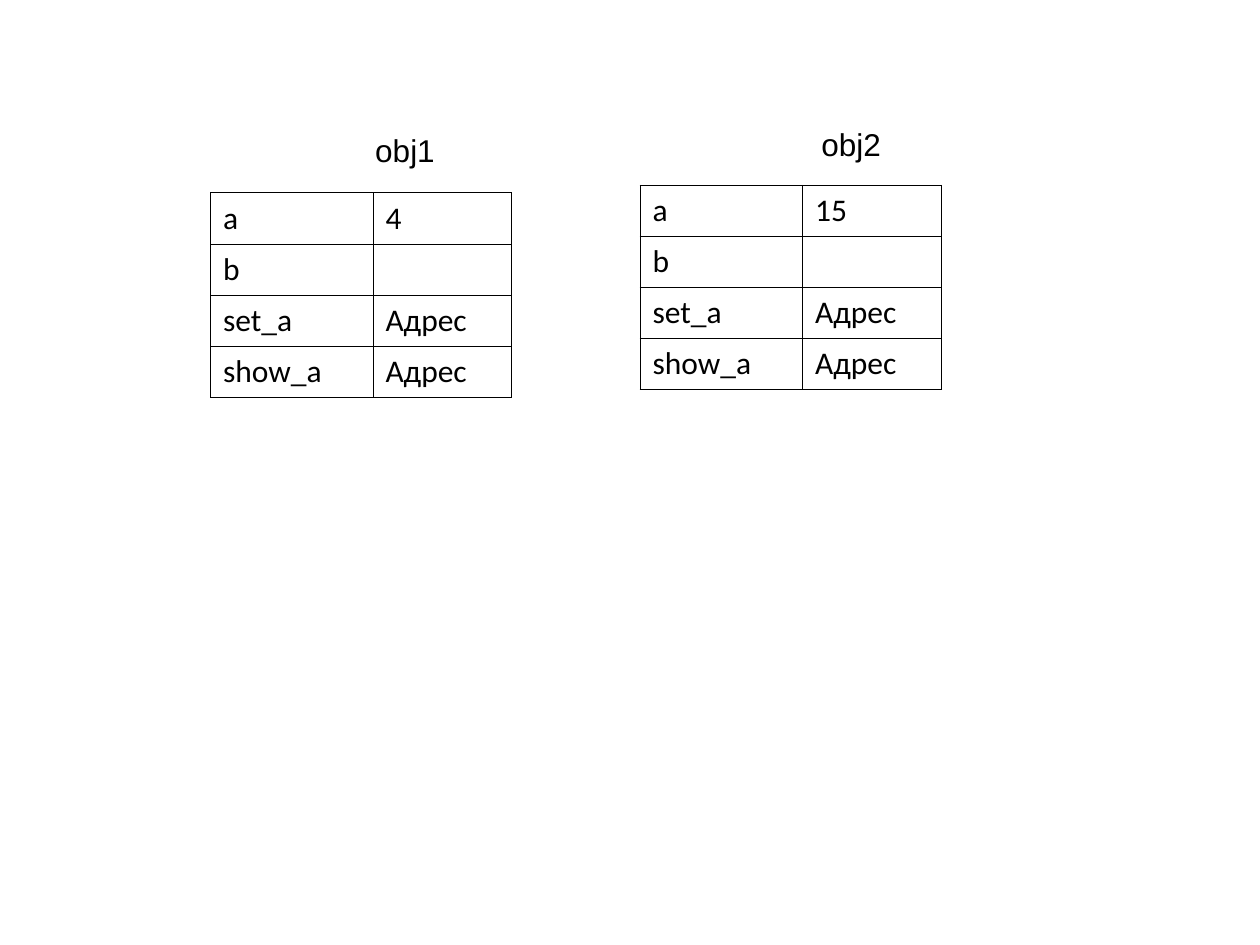
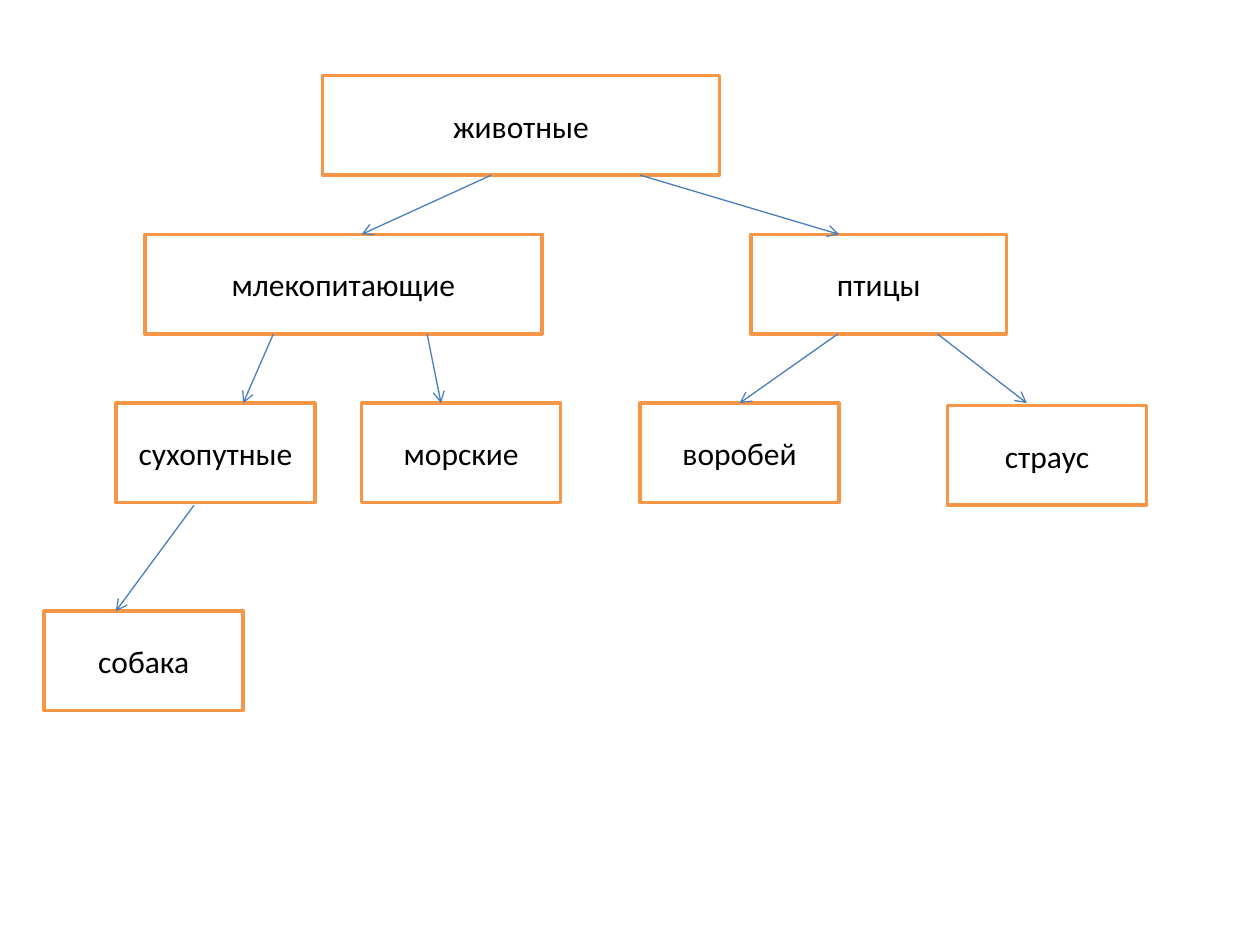
"""Builds two slides: object attribute tables and an animal class tree."""
from lxml import etree
from pptx import Presentation
from pptx import util as u
from pptx.dml.color import RGBColor
from pptx.enum import shapes, text
from pptx.oxml.ns import qn

COLORS = {"text": "000000", "box": "FFFFFF", "frame": "F79646", "arrow": "4A7EBB"}


def color(name):
    return RGBColor.from_string(COLORS[name])


def write(tf, words, face="Calibri"):
    p = tf.paragraphs[0]
    p.text = words
    p.font.size = u.Pt(18)
    p.font.name = face
    p.font.color.rgb = color("text")
    return p


prs = Presentation()
prs.slide_width, prs.slide_height = u.Inches(10), u.Inches(7.5)
blank = prs.slide_layouts[6]

s = prs.slides.add_slide(blank)
objects = [
    ("obj1", "4", (1.67, 1.53), (2.88, 0.99)),
    ("obj2", "15", (5.08, 1.47), (6.42, 0.94)),
]
for name, value, (x, y), (label_x, label_y) in objects:
    rows = [("a", value), ("b", ""), ("set_a", "Адрес"), ("show_a", "Адрес")]
    table = s.shapes.add_table(len(rows), 2, u.Inches(x), u.Inches(y),
                               u.Inches(2.39), u.Inches(1.62)).table
    table.first_row = table.horz_banding = False
    for column, width in zip(table.columns, (1.29, 1.1)):
        column.width = u.Inches(width)
    for i, row in enumerate(rows):
        for j, words in enumerate(row):
            cell = table.cell(i, j)
            write(cell.text_frame, words)
            cell.fill.background()
            tcPr = cell._tc.get_or_add_tcPr()
            for k, side in enumerate(("lnL", "lnR", "lnT", "lnB")):
                ln = etree.Element(qn(f"a:{side}"), w=str(u.Pt(0.45)))
                fill = etree.SubElement(ln, qn("a:solidFill"))
                etree.SubElement(fill, qn("a:srgbClr"), val=COLORS["text"])
                tcPr.insert(k, ln)

    tf = s.shapes.add_textbox(u.Inches(label_x), u.Inches(label_y),
                              u.Inches(0.67), u.Inches(0.4)).text_frame
    tf.word_wrap = False
    tf.auto_size = text.MSO_AUTO_SIZE.SHAPE_TO_FIT_TEXT
    write(tf, name, "Arial")

s = prs.slides.add_slide(blank)
animals = [
    ("животные", 2.56, 0.6, 3.15),
    ("млекопитающие", 1.15, 1.86, 3.15),
    ("птицы", 5.96, 1.86, 2.03),
    ("сухопутные", 0.92, 3.2, 1.58),
    ("морские", 2.87, 3.2, 1.58),
    ("воробей", 5.08, 3.2, 1.58),
    ("страус", 7.52, 3.22, 1.58),
    ("собака", 0.35, 4.85, 1.58),
]
boxes = {}
for name, x, y, width in animals:
    sp = s.shapes.add_shape(shapes.MSO_SHAPE.RECTANGLE, u.Inches(x), u.Inches(y),
                            u.Inches(width), u.Inches(0.79))
    sp.shadow.inherit = False
    sp.fill.solid()
    sp.fill.fore_color.rgb = color("box")
    sp.line.color.rgb = color("frame")
    sp.line.width = u.Pt(2)
    sp.text_frame.vertical_anchor = text.MSO_ANCHOR.MIDDLE
    write(sp.text_frame, name).alignment = text.PP_ALIGN.CENTER
    boxes[name] = sp

arrows = [
    (3.9, 1.39, 2.87, 1.86),
    (5.08, 1.39, 6.66, 1.86),
    (2.17, 2.65, 1.93, 3.2),
    (3.39, 2.65, 3.5, 3.2),
    (6.65, 2.65, 5.87, 3.2),
    (7.44, 2.65, 8.15, 3.2),
    (1.54, 4.01, 0.92, 4.85),
]
for ends in arrows:
    arrow = s.shapes.add_connector(shapes.MSO_CONNECTOR.STRAIGHT, *map(u.Inches, ends))
    arrow.line.color.rgb = color("arrow")
    arrow.line.width = u.Pt(0.75)
    etree.SubElement(arrow.line._get_or_add_ln(), qn("a:tailEnd"), type="arrow")
    etree.SubElement(arrow._element.spPr, qn("a:effectLst"))
    if ends[2:] == (5.87, 3.2):
        arrow.end_connect(boxes["воробей"], 0)

prs.save("out.pptx")
